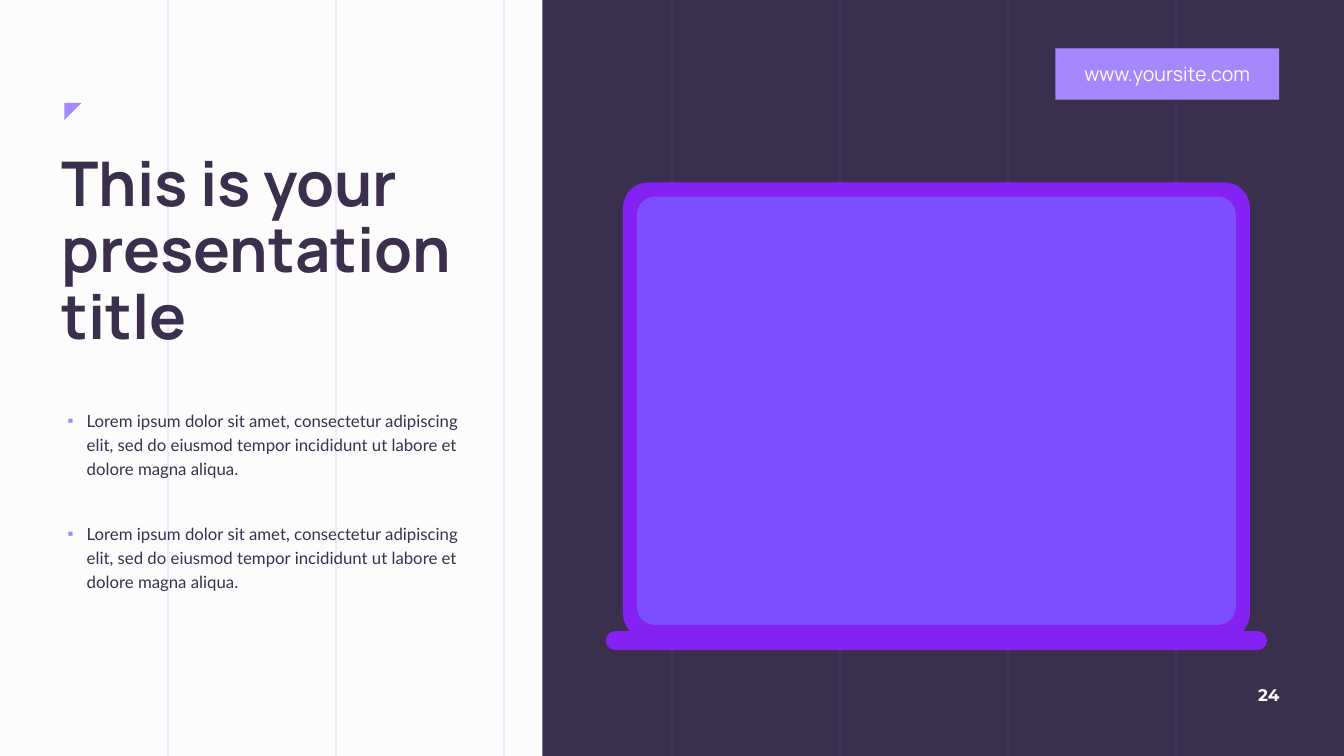
from lxml import etree
from pptx import Presentation
from pptx.dml.color import RGBColor
from pptx.enum import shapes, text
from pptx.oxml.ns import qn
from pptx.util import Inches, Pt

INK, PAPER, LILAC, VIOLET, PURPLE = "3B2F4E", "FCFCFC", "A688FC", "7C4EFD", "8422F4"
LOREM = ("Lorem ipsum dolor sit amet, consectetur adipiscing elit, sed do eiusmod "
         "tempor incididunt ut labore et dolore magna aliqua.")
SHAPE = shapes.MSO_SHAPE


def paint(color_format, hex_color):
    color_format.rgb = RGBColor.from_string(hex_color)


def write(sp, box, lines, color, para=None, **font):
    """Place a shape and fill its text frame with equally formatted paragraphs."""
    sp.left, sp.top, sp.width, sp.height = [Inches(v) for v in box]
    tf = sp.text_frame
    tf.text = "\n".join(lines)
    tf.word_wrap = True
    tf.auto_size = text.MSO_AUTO_SIZE.NONE
    for p in tf.paragraphs:
        for name, value in (para or {}).items():
            setattr(p, name, value)
        for r in p.runs:
            paint(r.font.color, color)
            for name, value in font.items():
                setattr(r.font, name, value)
    return tf


prs = Presentation()
prs.slide_width, prs.slide_height = Inches(13.333), Inches(7.5)
s = prs.slides.add_slide(prs.slide_layouts[1])
s.background.fill.solid()
paint(s.background.fill.fore_color, PAPER)

# Dark panel, then the column grid over it
panel = s.shapes.add_shape(SHAPE.RECTANGLE, Inches(5.38), 0,
                           prs.slide_width - Inches(5.38), prs.slide_height)
panel.shadow.inherit = False
panel.fill.solid()
paint(panel.fill.fore_color, INK)
panel.line.fill.background()

for column in range(1, 8):
    x = prs.slide_width * column // 8
    rule = s.shapes.add_connector(shapes.MSO_CONNECTOR.STRAIGHT, x, 0, x, prs.slide_height)
    rule.line.width = Pt(1.5)
    paint(rule.line.color, VIOLET)
    sp_pr = rule.element.spPr
    etree.SubElement(next(sp_pr.iter(qn("a:srgbClr"))), qn("a:alpha"), val="10000")
    etree.SubElement(sp_pr, qn("a:effectLst"))

# Corner mark, laptop and address tag: kind, box, fill, corner radius, rotation
blocks = [
    (SHAPE.RIGHT_TRIANGLE, (0.64, 1.02, 0.17, 0.17), LILAC, None, 90),
    (SHAPE.ROUNDED_RECTANGLE, (6.18, 1.81, 6.22, 4.53), PURPLE, 0.056, 0),
    (SHAPE.ROUNDED_RECTANGLE, (6.32, 1.95, 5.94, 4.25), VIOLET, 0.042, 0),
    (SHAPE.ROUNDED_RECTANGLE, (6.01, 6.26, 6.56, 0.19), PURPLE, 0.5, 0),
    (SHAPE.RECTANGLE, (10.47, 0.48, 2.22, 0.51), LILAC, None, 0),
]
for kind, box, fill, radius, rotation in blocks:
    sp = s.shapes.add_shape(kind, *[Inches(v) for v in box])
    sp.shadow.inherit = False
    sp.fill.solid()
    paint(sp.fill.fore_color, fill)
    sp.line.fill.background()
    sp.rotation = rotation
    if radius:
        sp.adjustments[0] = radius

write(sp, box, ["www.yoursite.com"], PAPER, {"alignment": text.PP_ALIGN.CENTER},
      name="Manrope", size=Pt(14))

number = s.shapes.add_textbox(0, 0, 0, 0)
tf = write(number, (12.24, 6.69, 0.55, 0.4), ["24"], PAPER,
           {"alignment": text.PP_ALIGN.RIGHT}, name="Montserrat", size=Pt(12), bold=True)
tf.vertical_anchor = text.MSO_ANCHOR.MIDDLE

# Title and list, brought in front of the grid
title, body = s.placeholders
for placeholder in (title, body):
    s.shapes.element.append(placeholder.element)

tf = write(title, (0.51, 1.47, 4.45, 2.32), ["This is your presentation", "title"], INK,
           {"alignment": text.PP_ALIGN.LEFT, "line_spacing": 0.9, "space_before": Pt(0)},
           name="Manrope", size=Pt(44), bold=True)
tf.vertical_anchor = text.MSO_ANCHOR.TOP

tf = write(body, (0.67, 4.03, 4.02, 1.85), [LOREM, LOREM], INK,
           {"line_spacing": 1.2, "space_before": Pt(0)}, name="Lato", size=Pt(12))
tf.vertical_anchor = text.MSO_ANCHOR.TOP
for side in ("left", "top", "right", "bottom"):
    setattr(tf, f"margin_{side}", 0)
tf.paragraphs[1].space_before = Pt(29)
for p in tf.paragraphs:
    p_pr = p._p.get_or_add_pPr()
    p_pr.set("marL", str(Inches(0.19)))
    p_pr.set("indent", str(-Inches(0.19)))
    bullet_color = etree.SubElement(p_pr, qn("a:buClr"))
    etree.SubElement(bullet_color, qn("a:srgbClr"), val=LILAC)
    etree.SubElement(p_pr, qn("a:buChar"), char="▪")

prs.save("out.pptx")
